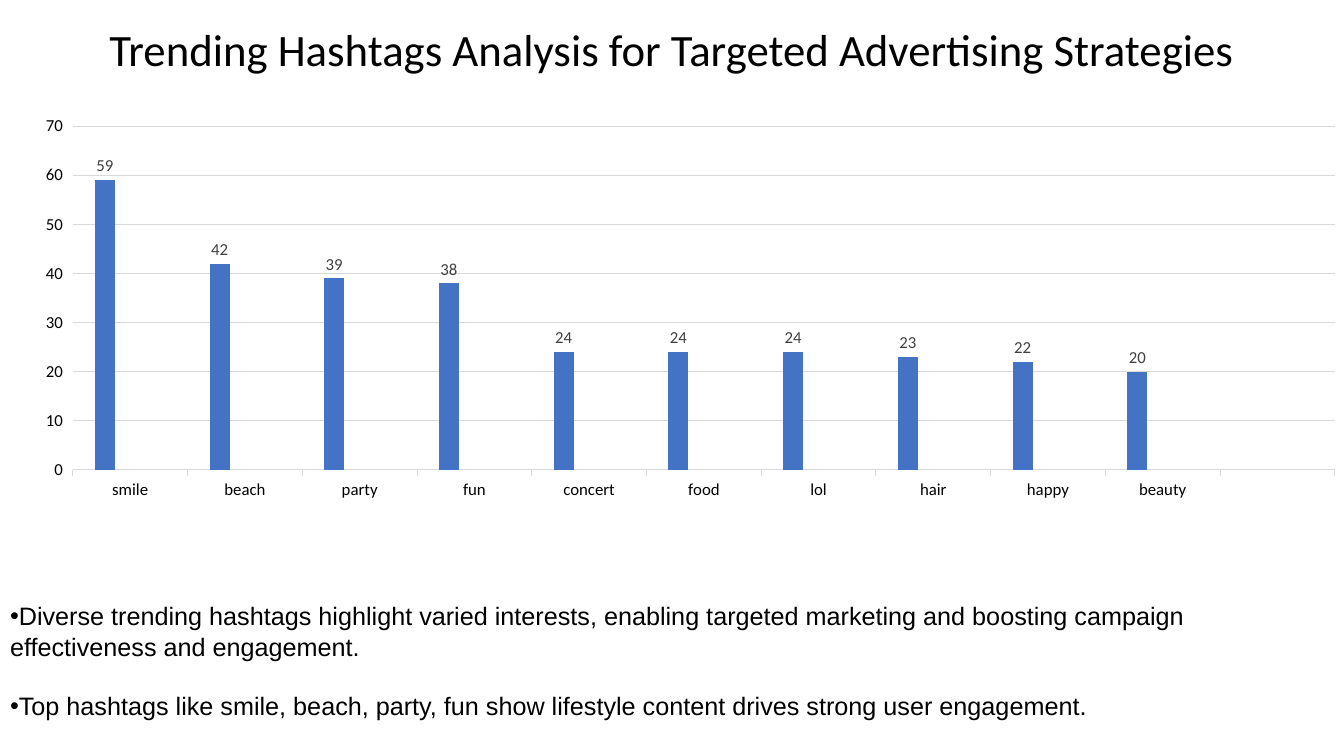
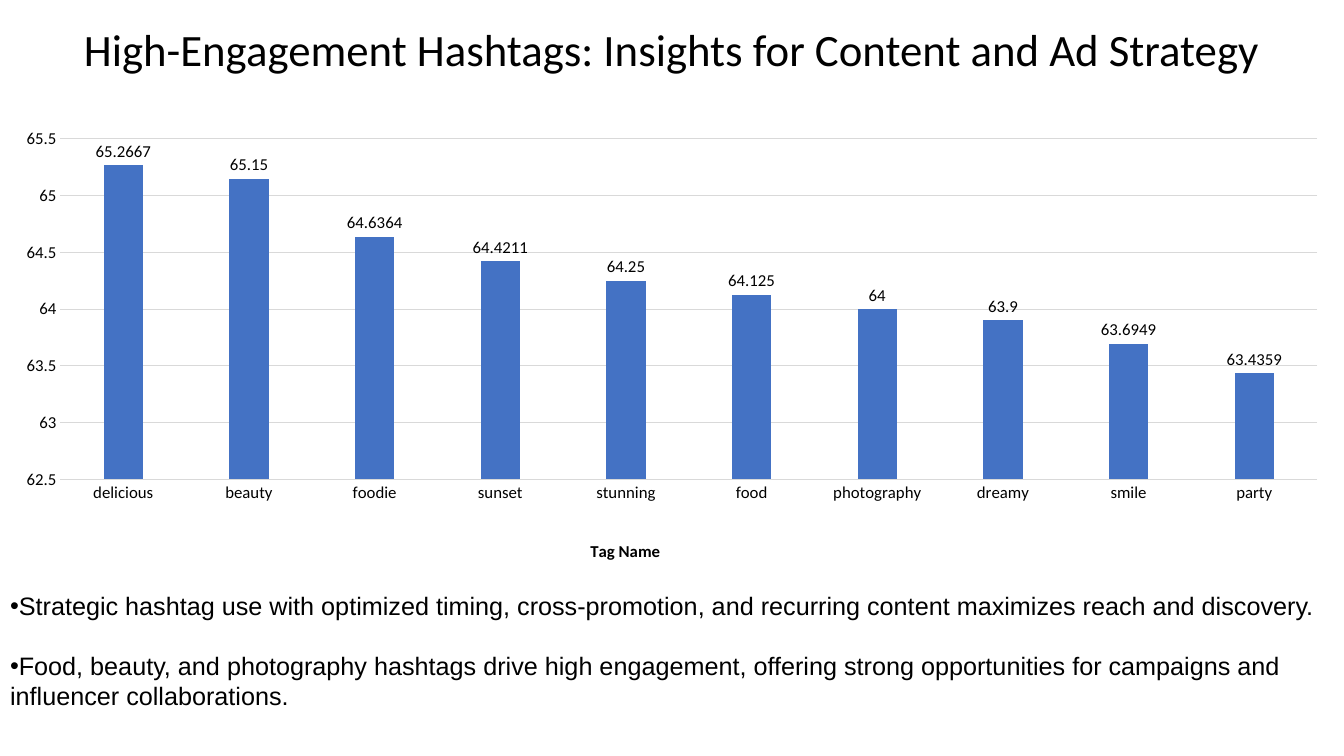
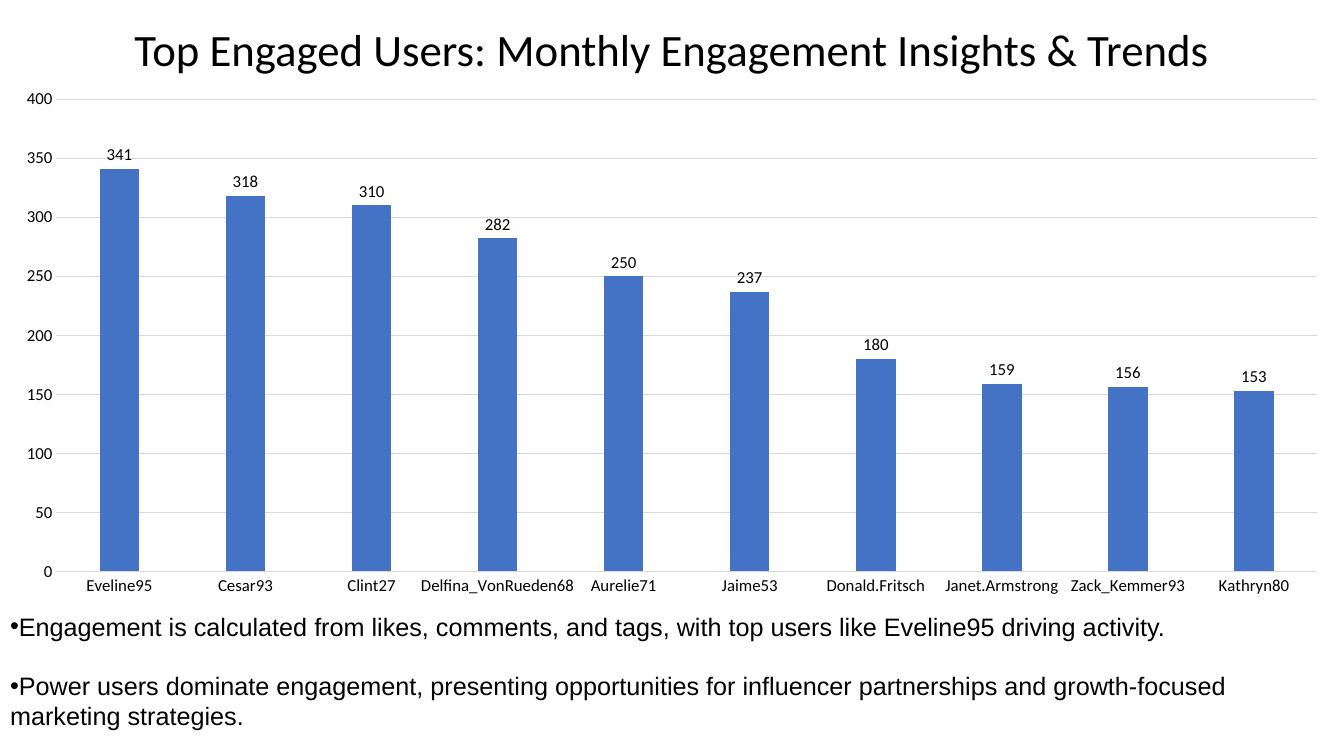
from dataclasses import dataclass
from typing import Any

from lxml import etree
from pptx import Presentation
from pptx.chart.data import CategoryChartData
from pptx.dml.color import RGBColor
from pptx.enum.chart import XL_CHART_TYPE, XL_LABEL_POSITION, XL_TICK_MARK
from pptx.enum.text import MSO_ANCHOR, MSO_AUTO_SIZE, PP_ALIGN
from pptx.oxml.ns import qn
from pptx.util import Inches, Pt

COLUMNS = XL_CHART_TYPE.COLUMN_CLUSTERED
OUTSIDE_END = XL_LABEL_POSITION.OUTSIDE_END
TICK_OUT, TICK_NONE = XL_TICK_MARK.OUTSIDE, XL_TICK_MARK.NONE
TOP, MIDDLE = MSO_ANCHOR.TOP, MSO_ANCHOR.MIDDLE
CENTER, LEFT = PP_ALIGN.CENTER, PP_ALIGN.LEFT
FIXED = MSO_AUTO_SIZE.NONE

COLORS = {"text": "000000", "muted": "404040", "grid": "D9D9D9",
          "first": "4472C4", "second": "ED7D31", "third": "A5A5A5"}
SERIES_COLORS = ("first", "second", "third")
HEADING_FONT, BODY_FONT = "Calibri", "Arial"
TITLE_LAYOUT = 1

SLIDE_W, SLIDE_H = Inches(13.333), Inches(7.5)
GRID_COLS, GRID_ROWS = 40, 75


@dataclass(frozen=True)
class Area:
    col: float
    row: float
    cols: float
    rows: float


@dataclass(frozen=True)
class Scale:
    low: float
    high: float
    step: float


@dataclass(frozen=True)
class Ranking:
    area: Area
    plot_percent: tuple[float, ...]
    scale: Scale
    values: dict[str, float | None]
    empty_series: int = 0
    tick: Any = TICK_NONE
    label_color: str = "text"
    axis_title: str = ""


@dataclass(frozen=True)
class Page:
    title: str
    takeaways: tuple[str, ...]
    takeaways_row: float
    ranking: Ranking


TITLE_AREA = Area(0, 1.65, GRID_COLS, 6.4)
TAKEAWAY_ROWS = 13.1
AXIS_TITLE_PERCENT = (43.7, 94)

PAGES = (
    Page(
        "Trending Hashtags Analysis for Targeted Advertising Strategies",
        ("Diverse trending hashtags highlight varied interests, enabling targeted "
         "marketing and boosting campaign effectiveness and engagement.",
         "Top hashtags like smile, beach, party, fun show lifestyle content drives "
         "strong user engagement."),
        59.1,
        Ranking(
            Area(0.93, 10.8, GRID_COLS, 39.8), (3.1, 4.3, 93.9, 85.7), Scale(0, 70, 10),
            {"smile": 59, "beach": 42, "party": 39, "fun": 38, "concert": 24,
             "food": 24, "lol": 24, "hair": 23, "happy": 22, "beauty": 20, "": None},
            empty_series=2, tick=TICK_OUT, label_color="muted"),
    ),
    Page(
        "High-Engagement Hashtags: Insights for Content and Ad Strategy",
        ("Strategic hashtag use with optimized timing, cross-promotion, and recurring "
         "content maximizes reach and discovery.",
         "Food, beauty, and photography hashtags drive high engagement, offering strong "
         "opportunities for campaigns and influencer collaborations."),
        58.1,
        Ranking(
            Area(0, 11.9, GRID_COLS, 44.3), (4.5, 4.3, 93.5, 76.8), Scale(62.5, 65.5, 0.5),
            {"delicious": 65.2667, "beauty": 65.15, "foodie": 64.6364,
             "sunset": 64.4211, "stunning": 64.25, "food": 64.125, "photography": 64,
             "dreamy": 63.9, "smile": 63.6949, "party": 63.4359},
            axis_title="Tag Name"),
    ),
    Page(
        "Top Engaged Users: Monthly Engagement Insights & Trends",
        ("Engagement is calculated from likes, comments, and tags, with top users like "
         "Eveline95 driving activity.",
         "Power users dominate engagement, presenting opportunities for influencer "
         "partnerships and growth-focused marketing strategies."),
        60.1,
        Ranking(
            Area(0, 7.9, GRID_COLS, 52.3), (4.2, 3.7, 93.8, 89.6), Scale(0, 400, 50),
            {"Eveline95": 341, "Cesar93": 318, "Clint27": 310,
             "Delfina_VonRueden68": 282, "Aurelie71": 250, "Jaime53": 237,
             "Donald.Fritsch": 180, "Janet.Armstrong": 159, "Zack_Kemmer93": 156,
             "Kathryn80": 153}),
    ),
)


def color(key: str) -> RGBColor:
    return RGBColor.from_string(COLORS[key])


def box(area: Area) -> tuple[int, int, int, int]:
    unit_w, unit_h = SLIDE_W / GRID_COLS, SLIDE_H / GRID_ROWS
    return (round(area.col * unit_w), round(area.row * unit_h),
            round(area.cols * unit_w), round(area.rows * unit_h))


def style_font(font: Any, size: float, name: str = HEADING_FONT,
               key: str = "text", bold: bool = False) -> None:
    font.size, font.name, font.bold = Pt(size), name, bold
    font.color.rgb = color(key)


def fill_placeholder(holder: Any, area: Area, lines: tuple[str, ...], size: float,
                     font: str, align: Any, anchor: Any) -> None:
    holder.left, holder.top, holder.width, holder.height = box(area)
    frame = holder.text_frame
    frame.text = "\n".join(lines)
    frame.word_wrap, frame.auto_size = True, FIXED
    frame.vertical_anchor = anchor
    for paragraph in frame.paragraphs:
        paragraph.alignment = align
        paragraph.space_before = Pt(0)
        for run in paragraph.runs:
            style_font(run.font, size, font)


def add_takeaways(holder: Any, page: Page) -> None:
    area = Area(0, page.takeaways_row, GRID_COLS, TAKEAWAY_ROWS)
    fill_placeholder(holder, area, page.takeaways, 18, BODY_FONT, LEFT, TOP)
    for index, paragraph in enumerate(holder.text_frame.paragraphs):
        paragraph.space_before = Pt(21 if index else 0)
        properties = paragraph._p.get_or_add_pPr()
        properties.set("marL", "0")
        properties.set("indent", "0")
        etree.SubElement(properties, qn("a:buFont")).set("typeface", BODY_FONT)
        etree.SubElement(properties, qn("a:buChar")).set("char", "•")


def set_layout(parent: Any, index: int, percents: tuple[float, ...],
               inner: bool = False) -> None:
    for old in parent.findall(qn("c:layout")):
        parent.remove(old)
    layout = etree.Element(qn("c:layout"))
    manual = etree.SubElement(layout, qn("c:manualLayout"))
    settings = [("layoutTarget", "inner")] if inner else []
    settings += [("xMode", "edge"), ("yMode", "edge")]
    settings += [(key, f"{percent / 100:.3f}") for key, percent in zip("xywh", percents)]
    for tag, value in settings:
        etree.SubElement(manual, qn(f"c:{tag}")).set("val", value)
    parent.insert(index, layout)


def style_axes(chart: Any, ranking: Ranking) -> None:
    for axis in (chart.category_axis, chart.value_axis):
        axis.major_tick_mark, axis.minor_tick_mark = ranking.tick, TICK_NONE
        style_font(axis.tick_labels.font, 12)
    names, amounts = chart.category_axis, chart.value_axis
    amounts.minimum_scale = ranking.scale.low
    amounts.maximum_scale = ranking.scale.high
    amounts.major_unit = ranking.scale.step
    amounts.has_major_gridlines = True
    amounts.format.line.fill.background()
    for line in (names.format.line, amounts.major_gridlines.format.line):
        line.color.rgb, line.width = color("grid"), Pt(0.75)
    if ranking.axis_title:
        heading = names.axis_title
        heading.text_frame.text = ranking.axis_title
        style_font(heading.text_frame.paragraphs[0].runs[0].font, 12, bold=True)
        set_layout(heading.element, 1, AXIS_TITLE_PERCENT)


def add_ranking(slide: Any, ranking: Ranking) -> None:
    data = CategoryChartData()
    data.categories = list(ranking.values)
    data.add_series("Series 1", list(ranking.values.values()))
    for extra in range(ranking.empty_series):
        data.add_series(f"Series {extra + 2}", [None] * len(ranking.values))
    chart = slide.shapes.add_chart(COLUMNS, *box(ranking.area), data).chart
    chart.has_title = chart.has_legend = False
    style_font(chart.font, 10)
    style_axes(chart, ranking)
    plot = chart.plots[0]
    plot.gap_width, plot.overlap, plot.vary_by_categories = 219, -27, False
    for series, key in zip(plot.series, SERIES_COLORS):
        series.format.fill.solid()
        series.format.fill.fore_color.rgb = color(key)
        labels = series.data_labels
        labels.show_value, labels.position = True, OUTSIDE_END
        style_font(labels.font, 12, key=ranking.label_color)
    set_layout(chart.element.find(".//" + qn("c:plotArea")), 0,
               ranking.plot_percent, inner=True)


def main() -> None:
    deck = Presentation()
    deck.slide_width, deck.slide_height = SLIDE_W, SLIDE_H
    for page in PAGES:
        slide = deck.slides.add_slide(deck.slide_layouts[TITLE_LAYOUT])
        fill_placeholder(slide.shapes.title, TITLE_AREA, (page.title,), 32,
                         HEADING_FONT, CENTER, MIDDLE)
        add_takeaways(slide.placeholders[1], page)
        add_ranking(slide, page.ranking)
    deck.save("out.pptx")


if __name__ == "__main__":
    main()
